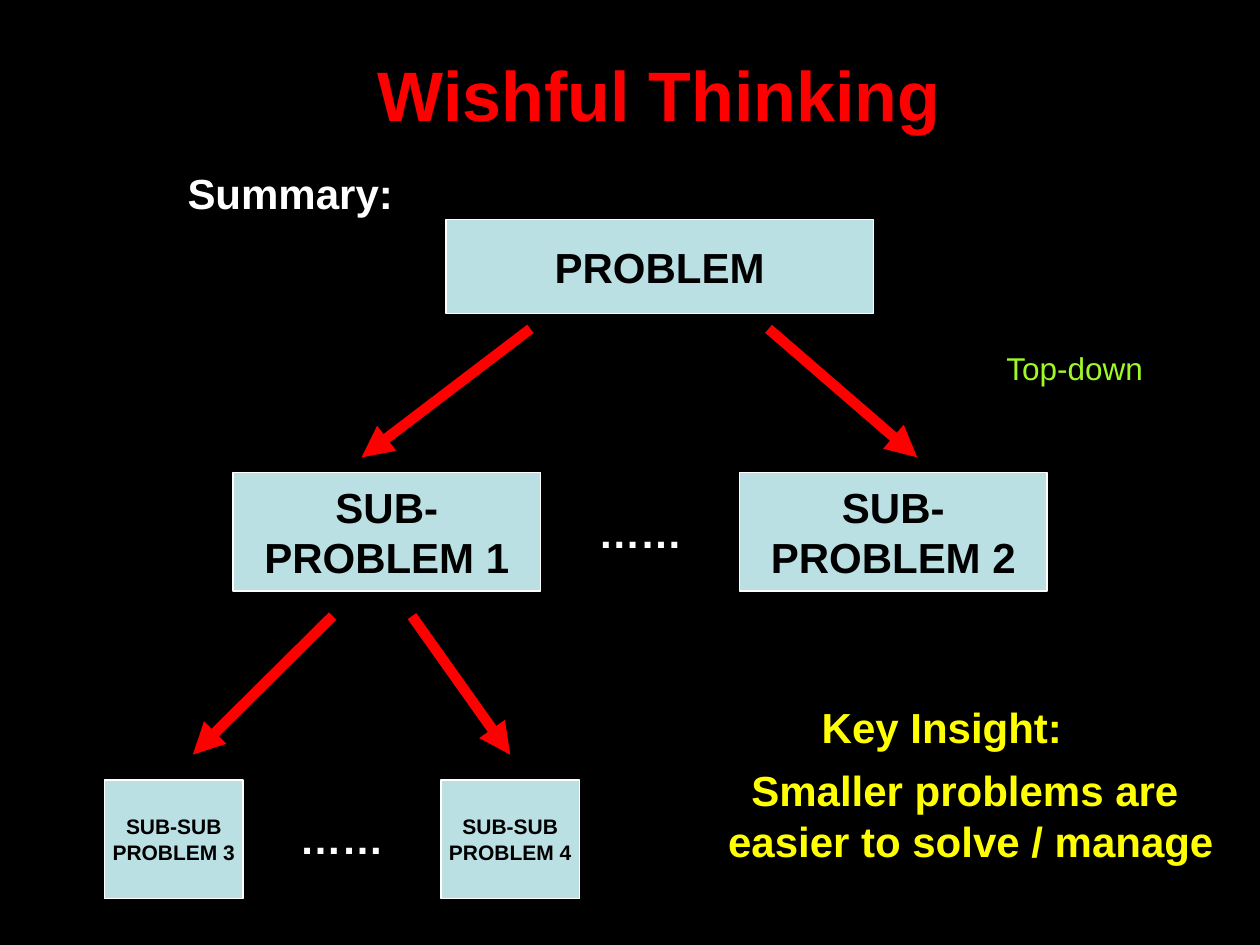
from pptx import Presentation
from pptx.dml.color import RGBColor as RGB
from pptx.enum.shapes import MSO_CONNECTOR as LINK, MSO_SHAPE as SHAPE
from pptx.enum.text import MSO_ANCHOR as ANCHOR, MSO_AUTO_SIZE as FIT, PP_ALIGN as ALIGN
from pptx.oxml.ns import qn
from pptx.util import Inches, Pt
from lxml.etree import SubElement

COLORS = {"back": "000000", "box": "BBE0E3", "white": "FFFFFF", "red": "FF0000",
          "yellow": "FFFF00", "green": "9FF828", "black": "000000"}
color = {name: RGB.from_string(value) for name, value in COLORS.items()}

deck = Presentation()
deck.slide_width, deck.slide_height = Inches(10), Inches(7.5)
slide = deck.slides.add_slide(deck.slide_layouts[6])
slide.background.fill.solid()
slide.background.fill.fore_color.rgb = color["back"]

# Square grid of 100 columns by 75 rows
COLUMNS = 100


def grid(*cells):
    return [round(deck.slide_width * cell / COLUMNS) for cell in cells]


def write(frame, paragraphs, size, ink, align, bold=True):
    for number, lines in enumerate(paragraphs):
        paragraph = frame.add_paragraph() if number else frame.paragraphs[0]
        paragraph.alignment = align
        for index, line in enumerate(lines):
            if index:
                paragraph.add_line_break()
            run = paragraph.add_run()
            run.text = line
            run.font.name, run.font.size, run.font.bold = "Arial", Pt(size), bold
            run.font.color.rgb = color[ink]


# Problem boxes, level by level: top, width, height, text size, (left, lines)
levels = [
    (17.4, 33.9, 7.5, 24, [(35.4, ["PROBLEM"])]),
    (37.5, 24.4, 9.4, 24, [(18.5, ["SUB-", "PROBLEM 1"]), (58.7, ["SUB-", "PROBLEM 2"])]),
    (61.9, 11, 9.4, 12, [(8.3, ["SUB-SUB", "PROBLEM 3"]), (35, ["SUB-SUB", "PROBLEM 4"])]),
]
for top, width, height, size, problems in levels:
    for left, lines in problems:
        box = slide.shapes.add_shape(SHAPE.RECTANGLE, *grid(left, top, width, height))
        box.shadow.inherit = False
        box.fill.solid()
        box.fill.fore_color.rgb = color["box"]
        box.line.color.rgb = color["white"]
        box.line.width = Pt(0.75)
        box.text_frame.word_wrap = False
        box.text_frame.vertical_anchor = ANCHOR.MIDDLE
        write(box.text_frame, [lines], size, "black", ALIGN.CENTER)

# Arrows between levels: start row, end row, (start column, end column)
branches = [(26.1, 36.3, [(42.1, 28.7), (61, 72.8)]),
            (48.9, 59.9, [(26.4, 15.3), (32.7, 40.5)])]
for start_row, end_row, spans in branches:
    for start, end in spans:
        arrow = slide.shapes.add_connector(LINK.STRAIGHT, *grid(start, start_row, end, end_row))
        arrow.line.color.rgb = color["red"]
        arrow.line.width = Pt(6)
        SubElement(arrow.line._get_or_add_ln(), qn("a:tailEnd"), type="triangle")
        SubElement(arrow._element.spPr, qn("a:effectLst"))

# Title, remarks and ellipses: place, paragraphs, size, colour, alignment
remarks = [
    ((29, 3.6, 46.7, 7.7), ["Wishful Thinking"], 40, "red", ALIGN.LEFT),
    ((13.9, 12.8, 18.3, 5), ["Summary:"], 24, "white", ALIGN.LEFT),
    ((71.6, 27.2, 27.4, 4), ["Top-down"], 18, "green", ALIGN.CENTER),
    ((46.5, 39.7, 9, 5), ["……"], 24, "white", ALIGN.LEFT),
    ((22.8, 64, 9, 5), ["……"], 24, "white", ALIGN.LEFT),
    ((64.2, 55.2, 21.1, 5), ["Key Insight:"], 24, "yellow", ALIGN.CENTER),
    ((56.5, 60.2, 41.1, 9), ["Smaller problems are ", "easier to solve / manage"],
     24, "yellow", ALIGN.CENTER),
]
for place, paragraphs, size, ink, align in remarks:
    frame = slide.shapes.add_textbox(*grid(*place)).text_frame
    frame.word_wrap = ink == "green"
    frame.auto_size = FIT.SHAPE_TO_FIT_TEXT
    write(frame, [[text] for text in paragraphs], size, ink, align, bold=ink != "green")

deck.save("out.pptx")
